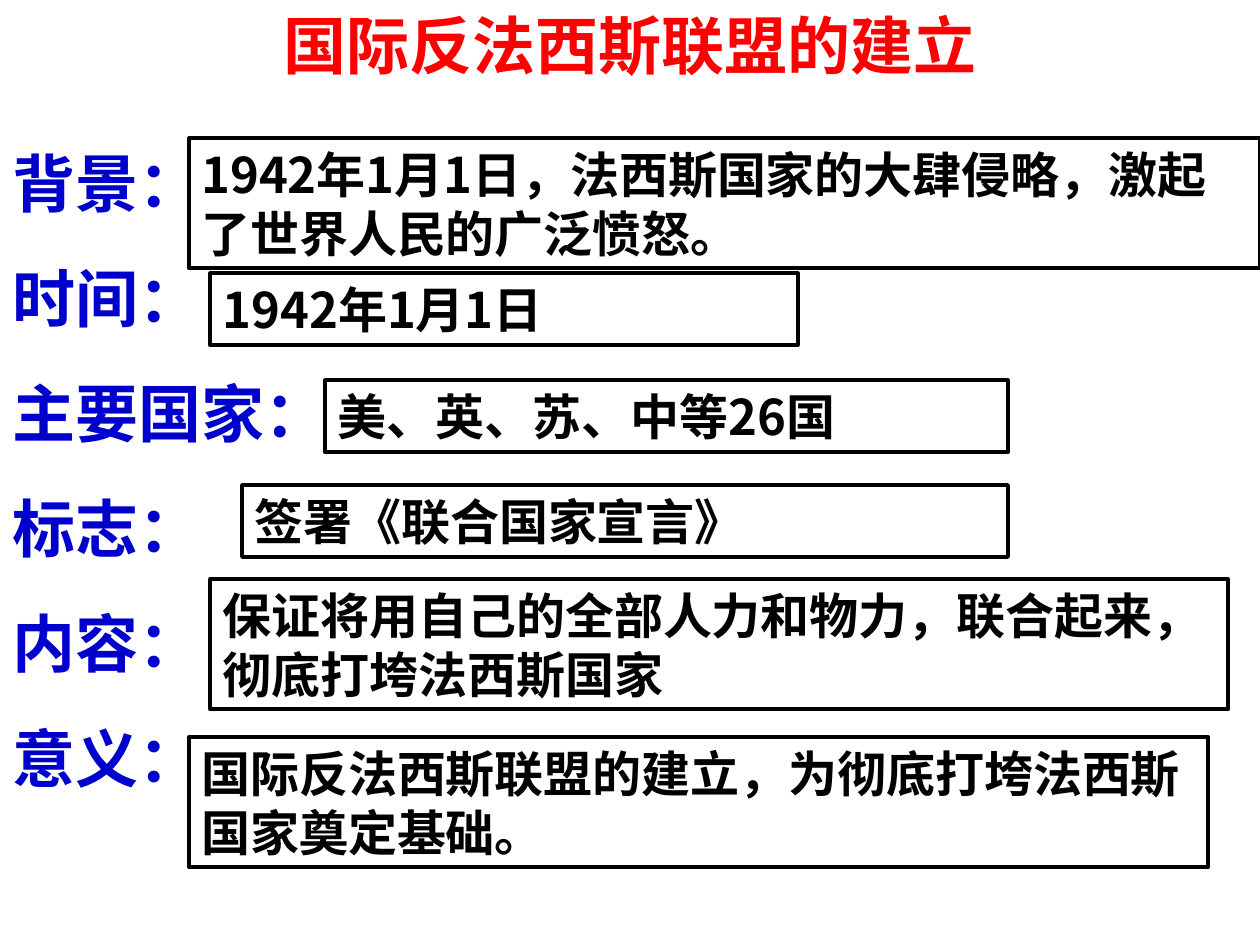
from lxml import etree
from pptx import Presentation
from pptx import util as u
from pptx.dml.color import RGBColor
from pptx.enum import shapes, text
from pptx.oxml.ns import qn

# Content
TITLE = "国际反法西斯联盟的建立"
LABELS = ["背景：", "时间：", "主要国家：", "标志：", "内容：", "意义："]
# Answers: text, left, top, width, height in cm
NOTES = [
    ("1942年1月1日，法西斯国家的大肆侵略，激起了世界人民的广泛愤怒。", 3.81, 2.79, 21.59, 2.62),
    ("1942年1月1日", 4.24, 5.51, 11.84, 1.45),
    ("美、英、苏、中等26国", 6.55, 7.67, 13.77, 1.45),
    ("签署《联合国家宣言》", 4.88, 9.78, 15.44, 1.45),
    ("保证将用自己的全部人力和物力，联合起来，彻底打垮法西斯国家", 4.24, 11.68, 20.52, 2.62),
    ("国际反法西斯联盟的建立，为彻底打垮法西斯国家奠定基础。", 3.81, 14.86, 20.55, 2.62),
]
INK = {"title": "FF0000", "label": "0000CC", "note": "000000"}
CJK = "Noto Sans CJK SC"

deck = Presentation()
deck.slide_width, deck.slide_height = u.Cm(25.4), u.Cm(19.05)
page = deck.slides.add_slide(deck.slide_layouts[6])


def write(lines, box, ink, size=28, font=CJK, align="LEFT", gap=0, frame=False):
    """Place bold lines of text, with a black frame if asked."""
    area = [u.Cm(n) for n in box]
    if frame:
        shape = page.shapes.add_shape(shapes.MSO_SHAPE.RECTANGLE, *area)
        shape.shadow.inherit = False
        shape.fill.background()
        shape.line.color.rgb = RGBColor.from_string(INK["note"])
        shape.line.width = u.Pt(2.25)
    else:
        shape = page.shapes.add_textbox(*area)
    body = shape.text_frame
    body.word_wrap = True
    body.auto_size = text.MSO_AUTO_SIZE.SHAPE_TO_FIT_TEXT
    body.vertical_anchor = text.MSO_ANCHOR.TOP
    body.text = "\n".join(lines)
    for para in body.paragraphs:
        para.alignment = text.PP_ALIGN[align]
        para.space_before = u.Pt(gap)
        for run in para.runs:
            run.font.size, run.font.bold, run.font.name = u.Pt(size), True, font
            run.font.color.rgb = RGBColor.from_string(INK[ink])
            # East Asian typeface
            etree.SubElement(run.font._element, qn("a:ea")).set("typeface", CJK)


# Title and label column
write([TITLE], (0, 0, 25.4, 1.78), "title", size=36, align="CENTER", gap=22.5)
write(LABELS, (0, 2.79, 12.07, 13.36), "label", size=36, font="Arial", gap=22.5)

# Framed answers
for note, *box in NOTES:
    write([note], box, "note", gap=17.5 if note != NOTES[0][0] else 0, frame=True)

deck.save("out.pptx")
